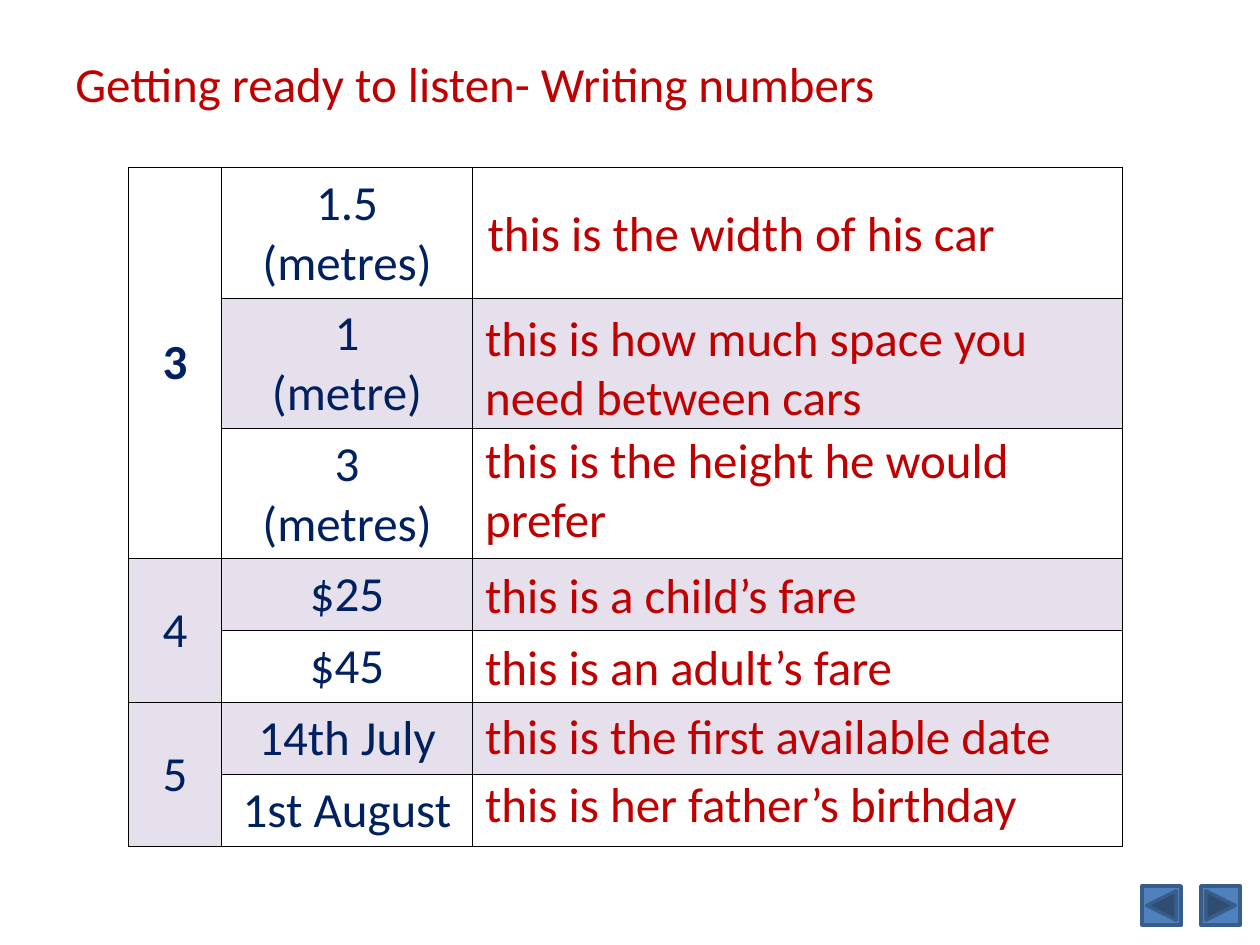
"""Build the 'Writing numbers' listening slide with its answer table."""
from lxml import etree
from pptx import Presentation
from pptx.dml.color import RGBColor
from pptx.enum.shapes import MSO_SHAPE
from pptx.enum.text import MSO_ANCHOR, MSO_AUTO_SIZE, PP_ALIGN
from pptx.oxml import parse_xml
from pptx.oxml.ns import nsdecls, qn
from pptx.util import Cm, Pt

LEFT, CENTER = PP_ALIGN.LEFT, PP_ALIGN.CENTER
MIDDLE = MSO_ANCHOR.MIDDLE
FIT_SHAPE = MSO_AUTO_SIZE.SHAPE_TO_FIT_TEXT
BACK = MSO_SHAPE.ACTION_BUTTON_BACK_OR_PREVIOUS
FORWARD = MSO_SHAPE.ACTION_BUTTON_FORWARD_OR_NEXT

COLORS = {
    "red": "C00000",
    "navy": "002060",
    "band": "8064A2",
    "border": "000000",
    "button": "4F81BD",
    "button_line": "385D8A",
}
BORDER_WIDTH = Pt(0.45)


def write_text(text_frame, text, color, alignment=LEFT, bold=False):
    text_frame.text = text
    for paragraph in text_frame.paragraphs:
        paragraph.alignment = alignment
        paragraph.font.name = "Calibri"
        paragraph.font.size = Pt(28)
        paragraph.font.bold = bold
        paragraph.font.color.rgb = RGBColor.from_string(COLORS[color])


def style_cell(cell, banded):
    cell.vertical_anchor = MIDDLE
    properties = cell._tc.get_or_add_tcPr()
    if banded:
        cell.fill.solid()
        cell.fill.fore_color.rgb = RGBColor.from_string(COLORS["band"])
        color = properties.find(".//" + qn("a:srgbClr"))
        etree.SubElement(color, qn("a:alpha"), val="20000")
    else:
        cell.fill.background()
    for index, side in enumerate("LRTB"):
        properties.insert(index, parse_xml(
            f'<a:ln{side} {nsdecls("a")} w="{BORDER_WIDTH}"><a:solidFill>'
            f'<a:srgbClr val="{COLORS["border"]}"/></a:solidFill></a:ln{side}>'))


presentation = Presentation()
presentation.slide_width = Cm(25.4)
presentation.slide_height = Cm(19.05)
slide = presentation.slides.add_slide(presentation.slide_layouts[6])

title = slide.shapes.add_textbox(Cm(1.27), Cm(0.76), Cm(22.86), Cm(1.83))
title.text_frame.word_wrap = True
title.text_frame.vertical_anchor = MIDDLE
write_text(title.text_frame, "Getting ready to listen- Writing numbers", "red")

for kind, left in ((BACK, 23.02), (FORWARD, 24.21)):
    button = slide.shapes.add_shape(kind, Cm(left), Cm(17.86), Cm(0.79), Cm(0.79))
    button.shadow.inherit = False
    button.fill.solid()
    button.fill.fore_color.rgb = RGBColor.from_string(COLORS["button"])
    button.line.color.rgb = RGBColor.from_string(COLORS["button_line"])
    button.line.width = Pt(2)

numbers = ["1.5\n(metres)", "1\n(metre)", "3\n(metres)",
           "$25", "$45", "14th July", "1st August"]
questions = [("3", 0, 2), ("4", 3, 4), ("5", 5, 6)]
column_widths = [1.88, 5.05, 13.11]
row_heights = [2.62] * 3 + [1.45] * 4

table = slide.shapes.add_table(
    len(row_heights), len(column_widths), Cm(2.59), Cm(3.38),
    Cm(sum(column_widths)), Cm(sum(row_heights))).table
table.first_row = False
table.horz_banding = False
for column, width in zip(table.columns, column_widths):
    column.width = Cm(width)
for row, height in zip(table.rows, row_heights):
    row.height = Cm(height)

for row_index, number in enumerate(numbers):
    style_cell(table.cell(row_index, 0), row_index >= 3)
    for column_index in (1, 2):
        style_cell(table.cell(row_index, column_index), row_index % 2 == 1)
    write_text(table.cell(row_index, 1).text_frame, number, "navy", CENTER)

for question, first, last in questions:
    cell = table.cell(first, 0)
    cell.merge(table.cell(last, 0))
    write_text(cell.text_frame, question, "navy", CENTER, bold=question == "3")

answers = [
    ("this is the width of his car", 9.58, 3.96, 10.74, 1.45, False),
    ("this is how much space you need between cars", 9.53, 6.07, 12.9, 2.64, True),
    ("this is the height he would prefer", 9.53, 8.53, 12.9, 2.64, True),
    ("this is a child’s fare", 9.53, 11.25, 12.9, 1.45, True),
    ("this is an adult’s fare", 9.53, 12.7, 12.9, 1.45, True),
    ("this is the first available date", 9.53, 14.1, 12.9, 1.45, True),
    ("this is her father’s birthday", 9.53, 15.47, 12.9, 1.45, True),
]
for text, left, top, width, height, wrap in answers:
    answer = slide.shapes.add_textbox(Cm(left), Cm(top), Cm(width), Cm(height))
    answer.text_frame.word_wrap = wrap
    answer.text_frame.auto_size = FIT_SHAPE
    write_text(answer.text_frame, text, "red")

presentation.save("out.pptx")
